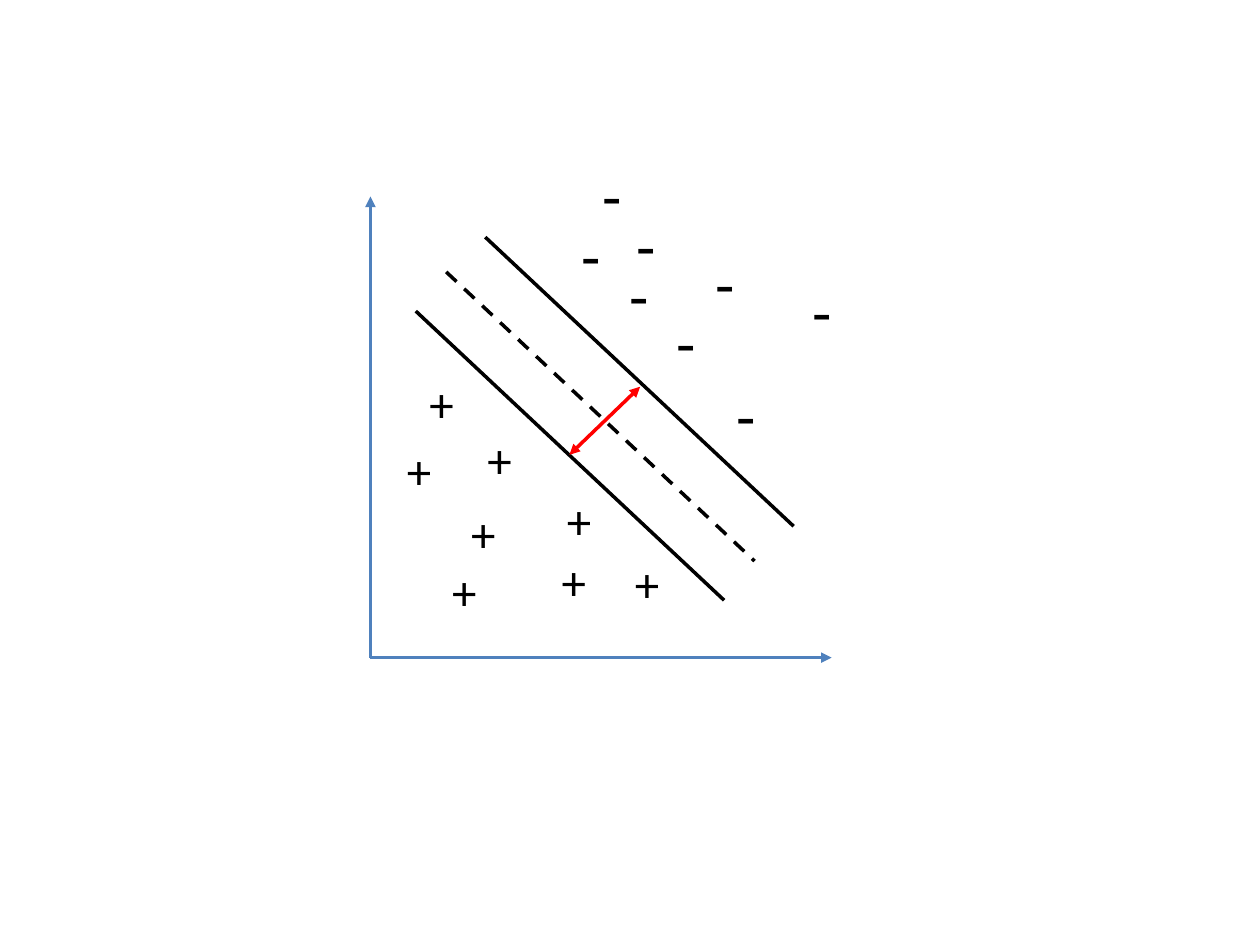
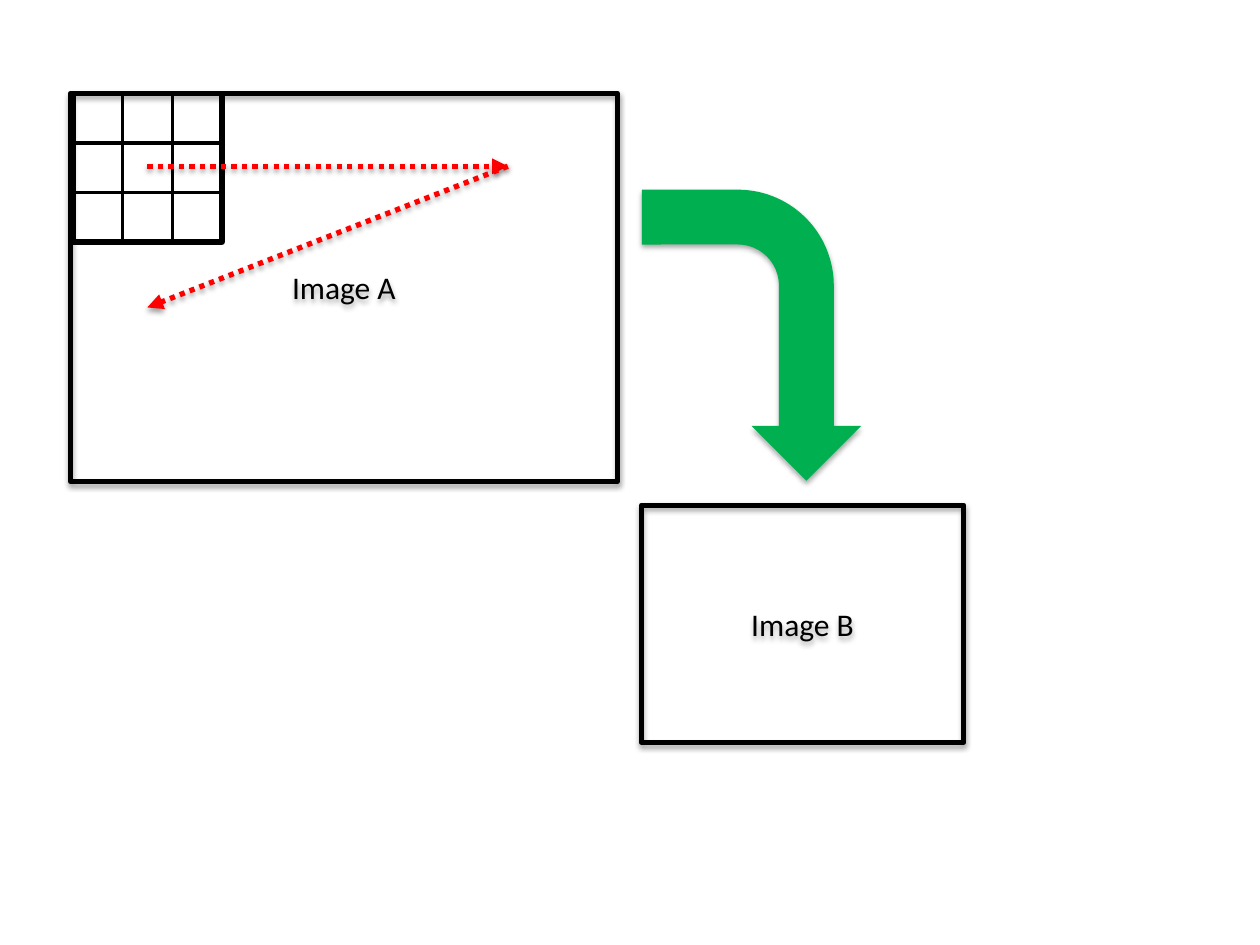
from lxml import etree
from pptx import Presentation
from pptx.dml.color import RGBColor
from pptx.enum.dml import MSO_LINE
from pptx.enum.shapes import MSO_CONNECTOR, MSO_SHAPE
from pptx.enum.text import MSO_ANCHOR, MSO_AUTO_SIZE, PP_ALIGN
from pptx.oxml.ns import qn
from pptx.util import Pt

STRAIGHT = MSO_CONNECTOR.STRAIGHT
RECTANGLE, BENT_ARROW = MSO_SHAPE.RECTANGLE, MSO_SHAPE.BENT_ARROW
DASH, DOTS = MSO_LINE.DASH, MSO_LINE.ROUND_DOT
FIT_SHAPE = MSO_AUTO_SIZE.SHAPE_TO_FIT_TEXT
MIDDLE, CENTER = MSO_ANCHOR.MIDDLE, PP_ALIGN.CENTER

FONT = "Calibri"
BLACK, BLUE, RED, GREEN = "000000", "4F81BD", "FF0000", "00B050"

# Slide 1 content: a separating line with its margin, and two classes of points
ORIGIN = (211.7, 375.8)
AXIS_ENDS = [(211.7, 112.3), (475.2, 375.8)]
BOUNDARY_RUN = (176.2, 165.2)
BOUNDARIES = [((237.6, 177.8), None), ((277.3, 135.5), None), ((255, 155.4), DASH)]
MARGIN = ((325.4, 259.9), (365.8, 221))
CLASSES = [  # sign, size, box height, top-left corners
    ("+", 28, 41, [(238.3, 210.2), (271.4, 241.9), (316.8, 276.5), (355.7, 312.5),
                   (262.1, 284.4), (225.4, 248.4), (313.9, 311.8), (251.3, 317.5)]),
    ("-", 36, 51, [(325.4, 120.2), (352.8, 143.3), (356.4, 114.5), (379.4, 169.9),
                   (401.8, 136.1), (414, 211.7), (457.2, 151.9), (337, 85.7)]),
]
SIGN_WIDTH = 26

# Slide 2 content: a kernel that scans one image to make another
IMAGES = [("Image A", (40.3, 53.3, 312.5, 221.8)),
          ("Image B", (366.5, 288.7, 184.3, 135.4))]
KERNEL_LEFT, KERNEL_TOP, KERNEL_SIZE, KERNEL_CELLS = 41.8, 53.3, 85, 3
ROW_OVERHANG = 2
SCAN = [(84.2, 95), (290.2, 95), (84.2, 175.7)]
RESULT_ARROW = (346.3, 128.9, 166.3, 125.3)
SHAPE_SHADOW = (35, 1.8)  # opacity in percent, distance
LINE_SHADOW = (38, 1.6)
SHADOW_BLUR = 3.1


# Helpers
def color(value):
    return RGBColor.from_string(value)


def points(values):
    return [Pt(value) for value in values]


def set_shadow(effects, opacity, distance):
    shadow = etree.SubElement(effects, qn("a:outerShdw"), blurRad=str(Pt(SHADOW_BLUR)),
                              dist=str(Pt(distance)), dir="5400000", rotWithShape="0")
    shade = etree.SubElement(shadow, qn("a:srgbClr"), val=BLACK)
    etree.SubElement(shade, qn("a:alpha"), val=str(opacity * 1000))


def set_font(paragraph, size):
    paragraph.font.name = FONT
    paragraph.font.size = Pt(size)
    paragraph.font.color.rgb = color(BLACK)


def add_line(shapes, start, end, line_color=BLACK, width=2, dash=None, ends=(), shadow=None):
    connector = shapes.add_connector(STRAIGHT, *points(start + end))
    connector.line.color.rgb = color(line_color)
    connector.line.width = Pt(width)
    if dash:
        connector.line.dash_style = dash
    outline = connector.line._get_or_add_ln()
    for end_name in ends:
        etree.SubElement(outline, qn("a:" + end_name), type="triangle")
    effects = etree.SubElement(connector._element.spPr, qn("a:effectLst"))
    if shadow:
        set_shadow(effects, *shadow)


def add_shape(shapes, kind, box, fill=None, shadow=None):
    shape = shapes.add_shape(kind, *points(box))
    if fill:
        shape.fill.solid()
        shape.fill.fore_color.rgb = color(fill)
        shape.line.fill.background()
    else:
        shape.fill.background()
        shape.line.color.rgb = color(BLACK)
        shape.line.width = Pt(3)
    shape.shadow.inherit = False
    if shadow:
        set_shadow(shape._element.spPr.find(qn("a:effectLst")), *shadow)
    return shape


def add_sign(shapes, sign, size, box):
    frame = shapes.add_textbox(*points(box)).text_frame
    frame.word_wrap = True
    frame.auto_size = FIT_SHAPE
    frame.text = sign
    set_font(frame.paragraphs[0], size)


def add_drawing(presentation):
    slide = presentation.slides.add_slide(presentation.slide_layouts[6])
    return slide.shapes.add_group_shape().shapes


presentation = Presentation()
presentation.slide_width, presentation.slide_height = Pt(720), Pt(540)

# Slide 1: axes, boundaries, points and margin
shapes = add_drawing(presentation)
for axis_end in AXIS_ENDS:
    add_line(shapes, ORIGIN, axis_end, BLUE, ends=["tailEnd"])
for (x, y), dash in BOUNDARIES:
    add_line(shapes, (x, y), (x + BOUNDARY_RUN[0], y + BOUNDARY_RUN[1]), dash=dash)
for sign, size, height, corners in CLASSES:
    for corner in corners:
        add_sign(shapes, sign, size, (*corner, SIGN_WIDTH, height))
add_line(shapes, *MARGIN, RED, ends=["headEnd", "tailEnd"])

# Slide 2: images
shapes = add_drawing(presentation)
for label, box in IMAGES:
    image = add_shape(shapes, RECTANGLE, box, shadow=SHAPE_SHADOW)
    frame = image.text_frame
    frame.text = label
    frame.vertical_anchor = MIDDLE
    frame.paragraphs[0].alignment = CENTER
    set_font(frame.paragraphs[0], 18)

# Slide 2: kernel grid
add_shape(shapes, RECTANGLE, (KERNEL_LEFT, KERNEL_TOP, KERNEL_SIZE, KERNEL_SIZE))
right, bottom = KERNEL_LEFT + KERNEL_SIZE, KERNEL_TOP + KERNEL_SIZE
for index in range(1, KERNEL_CELLS):
    offset = index * KERNEL_SIZE / KERNEL_CELLS
    x, y = KERNEL_LEFT + offset, KERNEL_TOP + offset
    add_line(shapes, (x, KERNEL_TOP), (x, bottom))
    add_line(shapes, (right + ROW_OVERHANG, y), (KERNEL_LEFT, y))

# Slide 2: scan path and result arrow
for start, end in zip(SCAN, SCAN[1:]):
    add_line(shapes, start, end, RED, 3, DOTS, ["tailEnd"], LINE_SHADOW)
arrow = add_shape(shapes, BENT_ARROW, RESULT_ARROW, GREEN, SHAPE_SHADOW)
arrow.rotation = 90

presentation.save("out.pptx")
